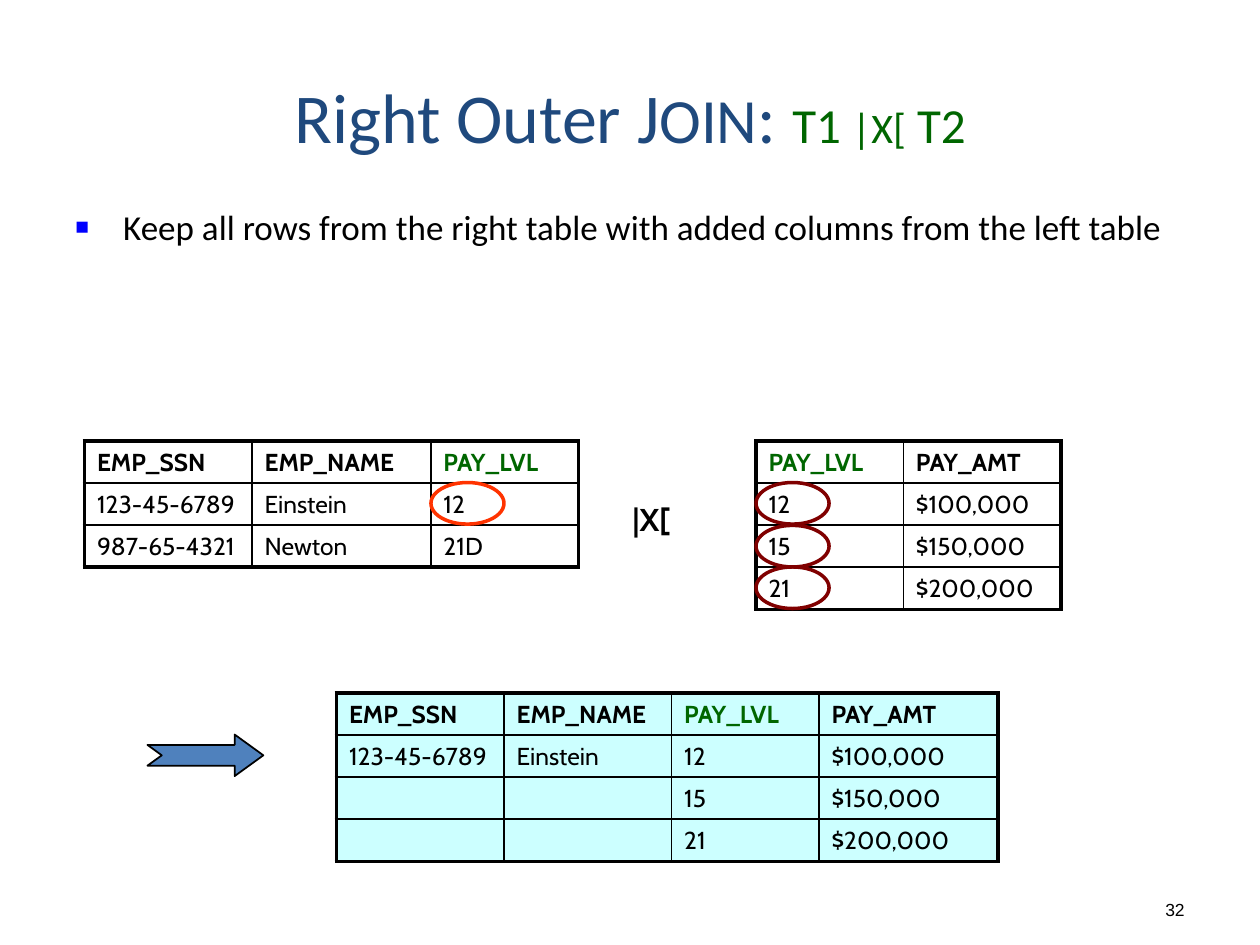
from dataclasses import dataclass

from lxml import etree
from pptx import Presentation
from pptx.dml.color import RGBColor
from pptx.enum.shapes import MSO_SHAPE
from pptx.enum.text import MSO_ANCHOR, PP_ALIGN
from pptx.oxml.ns import qn
from pptx.util import Inches, Pt

ELLIPSE = MSO_SHAPE.OVAL
ARROW = MSO_SHAPE.NOTCHED_RIGHT_ARROW
CENTER, RIGHT = PP_ALIGN.CENTER, PP_ALIGN.RIGHT
MIDDLE, BOTTOM = MSO_ANCHOR.MIDDLE, MSO_ANCHOR.BOTTOM

BLACK = RGBColor(0x00, 0x00, 0x00)
NAVY = RGBColor(0x1F, 0x49, 0x7D)
BLUE = RGBColor(0x4F, 0x81, 0xBD)
GREEN = RGBColor(0x00, 0x66, 0x00)
CYAN = RGBColor(0xCC, 0xFF, 0xFF)
MAROON = RGBColor(0x80, 0x00, 0x00)
ORANGE = RGBColor(0xFF, 0x33, 0x00)

ROW_H = 0.33
KEY = "PAY_LVL"
THIN, THICK = Pt(1), Pt(2.25)


@dataclass
class Grid:
    left: float
    top: float
    widths: list[float]
    rows: list[list[str]]
    fill: RGBColor | None = None


@dataclass
class Ring:
    left: float
    top: float
    color: RGBColor


GRIDS = [
    Grid(0.67, 3.5, [1.33, 1.42, 1.17], [
        ["EMP_SSN", "EMP_NAME", KEY],
        ["123-45-6789", "Einstein", "12"],
        ["987-65-4321", "Newton", "21D"],
    ]),
    Grid(6, 3.5, [1.17, 1.25], [
        [KEY, "PAY_AMT"],
        ["12", "$100,000"],
        ["15", "$150,000"],
        ["21", "$200,000"],
    ]),
    Grid(2.67, 5.5, [1.33, 1.33, 1.17, 1.42], [
        ["EMP_SSN", "EMP_NAME", KEY, "PAY_AMT"],
        ["123-45-6789", "Einstein", "12", "$100,000"],
        ["", "", "15", "$150,000"],
        ["", "", "21", "$200,000"],
    ], CYAN),
]
RINGS = [
    Ring(3.42, 3.83, ORANGE),
    Ring(6, 3.83, MAROON),
    Ring(6, 4.17, MAROON),
    Ring(6, 4.5, MAROON),
]


def style(r, size: float, font: str, color: RGBColor, bold: bool = False) -> None:
    r.font.size = Pt(size)
    r.font.name = font
    r.font.color.rgb = color
    r.font.bold = bold


def add_text(slide, box: tuple, text: str, size: float, font: str, bold: bool = False):
    sp = slide.shapes.add_textbox(*map(Inches, box))
    tf = sp.text_frame
    tf.word_wrap = True
    tf.text = text
    style(tf.paragraphs[0].runs[0], size, font, BLACK, bold)
    return tf


def add_bullet(p) -> None:
    pPr = p._p.get_or_add_pPr()
    pPr.set("marL", str(Inches(0.38)))
    pPr.set("indent", str(Inches(-0.38)))
    clr = etree.SubElement(pPr, qn("a:buClr"))
    etree.SubElement(clr, qn("a:srgbClr"), val="0000FF")
    etree.SubElement(pPr, qn("a:buSzPct"), val="65000")
    etree.SubElement(pPr, qn("a:buFont"), typeface="Arial")
    etree.SubElement(pPr, qn("a:buChar"), char="■")


def set_borders(cell, edges: dict[str, bool]) -> None:
    tcPr = cell._tc.get_or_add_tcPr()
    for tag, outer in edges.items():
        ln = etree.SubElement(tcPr, qn(f"a:{tag}"), w=str(THICK if outer else THIN))
        fill = etree.SubElement(ln, qn("a:solidFill"))
        etree.SubElement(fill, qn("a:srgbClr"), val=str(BLACK))


def add_grid(slide, g: Grid) -> None:
    n_rows, n_cols = len(g.rows), len(g.widths)
    table = slide.shapes.add_table(
        n_rows, n_cols, Inches(g.left), Inches(g.top),
        Inches(sum(g.widths)), Inches(ROW_H * n_rows)).table
    table.first_row = table.horz_banding = False
    for col, width in zip(table.columns, g.widths):
        col.width = Inches(width)
    for i, row in enumerate(g.rows):
        table.rows[i].height = Inches(ROW_H)
        for j, text in enumerate(row):
            cell = table.cell(i, j)
            set_borders(cell, {"lnL": j == 0, "lnR": j == n_cols - 1,
                               "lnT": i == 0, "lnB": i == n_rows - 1})
            if g.fill is None:
                cell.fill.background()
            else:
                cell.fill.solid()
                cell.fill.fore_color.rgb = g.fill
            cell.text_frame.text = text
            p = cell.text_frame.paragraphs[0]
            for r in p.runs:
                style(r, 14, "Cabin", GREEN if text == KEY else BLACK, i == 0)
            if not text:
                etree.SubElement(p._p, qn("a:endParaRPr"), sz="1400")


def add_ring(slide, ring: Ring) -> None:
    sp = slide.shapes.add_shape(
        ELLIPSE, Inches(ring.left), Inches(ring.top), Inches(0.58), Inches(0.33))
    sp.shadow.inherit = False
    sp.fill.background()
    sp.line.color.rgb = ring.color
    sp.line.width = Pt(2)


def add_arrow(slide) -> None:
    sp = slide.shapes.add_shape(
        ARROW, Inches(1.17), Inches(5.83), Inches(0.92), Inches(0.33))
    sp.adjustments[0], sp.adjustments[1] = 0.5, 0.69
    sp.shadow.inherit = False
    sp.fill.solid()
    sp.fill.fore_color.rgb = BLUE
    sp.line.color.rgb = BLACK
    sp.line.width = Pt(1)


def set_title(slide) -> None:
    sp = slide.shapes.title
    sp.left, sp.top, sp.width, sp.height = map(Inches, (0.5, 0.42, 9, 1))
    tf = sp.text_frame
    tf.vertical_anchor = MIDDLE
    p = tf.paragraphs[0]
    p.alignment = CENTER
    for text, size, color in [
        ("Right Outer J", 40, NAVY), ("OIN", 36, NAVY), (": ", 40, NAVY),
        ("T1 ", 28, GREEN), ("|X[", 24, GREEN), (" T2", 28, GREEN),
    ]:
        r = p.add_run()
        r.text = text
        style(r, size, "Calibri", color)


def main() -> None:
    prs = Presentation()
    prs.slide_width, prs.slide_height = Inches(10), Inches(7.5)
    slide = prs.slides.add_slide(prs.slide_layouts[5])
    set_title(slide)

    tf = add_text(slide, (0.5, 1.58, 8.83, 1.17),
                  "Keep all rows from the right table with added columns from the left table",
                  20, "Calibri")
    add_bullet(tf.paragraphs[0])

    for grid in GRIDS:
        add_grid(slide, grid)
    add_text(slide, (4.92, 3.92, 0.67, 0.4), "|X[", 18, "Cabin", True)
    add_arrow(slide)
    for ring in RINGS:
        add_ring(slide, ring)

    tf = add_text(slide, (9.08, 7.08, 0.42, 0.27), "32", 10, "Arial")
    tf.vertical_anchor = BOTTOM
    tf.paragraphs[0].alignment = RIGHT

    prs.save("out.pptx")


if __name__ == "__main__":
    main()
